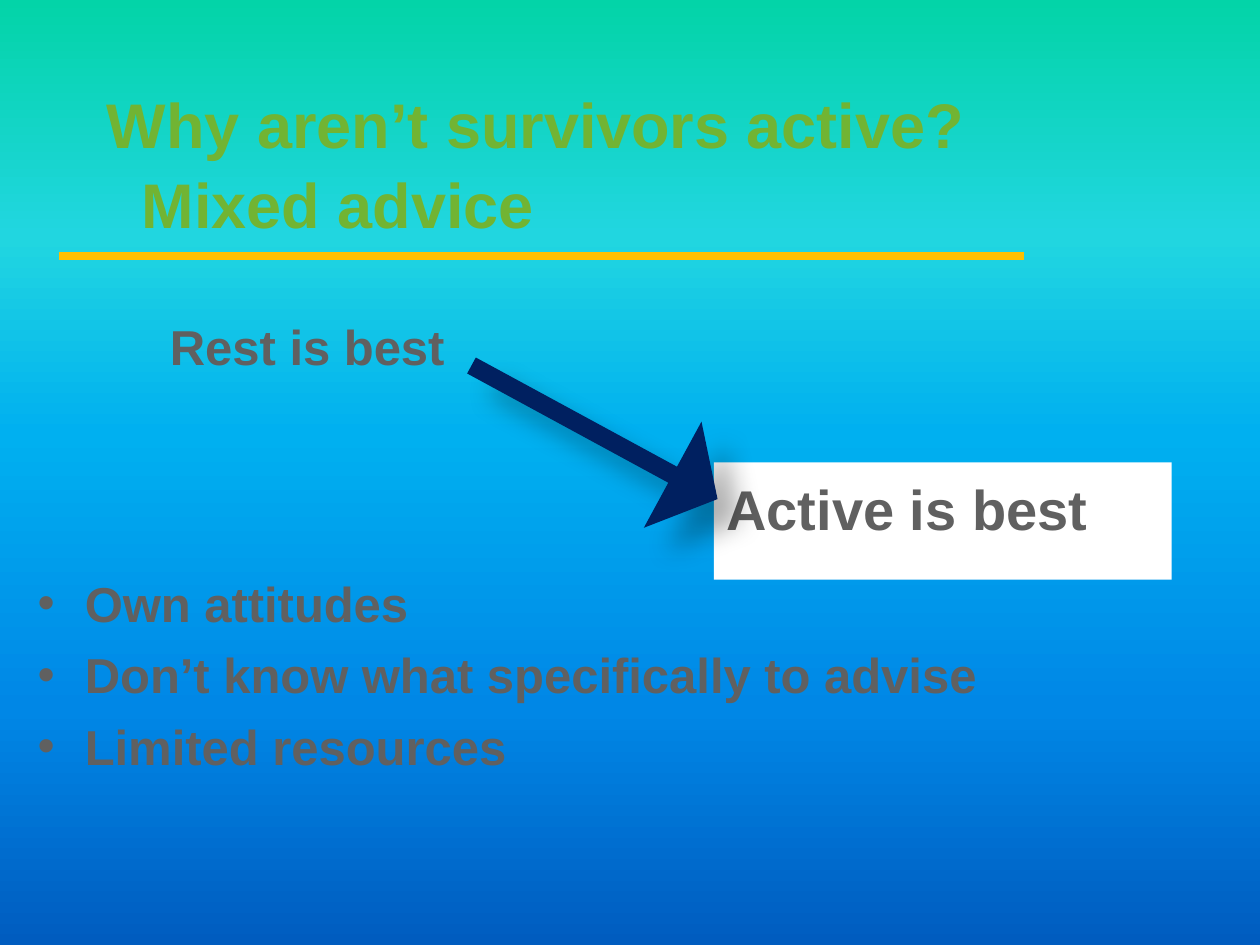
from dataclasses import dataclass

from lxml.etree import SubElement
from pptx import Presentation
from pptx.dml.color import RGBColor
from pptx.enum.shapes import MSO_CONNECTOR, MSO_SHAPE
from pptx.oxml import parse_xml
from pptx.oxml.ns import nsdecls, qn
from pptx.util import Pt

GREEN = RGBColor(0x71, 0xB4, 0x33)
GREY = RGBColor(0x60, 0x60, 0x60)
WHITE = RGBColor(0xFF, 0xFF, 0xFF)
GOLD = RGBColor(0xFF, 0xC0, 0x00)
NAVY = RGBColor(0x00, 0x20, 0x60)
SKY = [
    (0, RGBColor(0x03, 0xD4, 0xA8)),
    (25, RGBColor(0x21, 0xD6, 0xE0)),
    (46, RGBColor(0x00, 0xB0, 0xF0)),
    (75, RGBColor(0x00, 0x87, 0xE6)),
    (100, RGBColor(0x00, 0x5C, 0xBF)),
]


@dataclass
class TextBlock:
    lines: list[str]
    left: float
    top: float
    width: float
    height: float
    size: float
    color: RGBColor = GREY
    hang: float = 27
    space_before: float = 0
    bullet: bool = False
    fill: RGBColor | None = None


BLOCKS = [
    TextBlock(["Rest is best"], 90, 174.25, 261.5, 67, 28),
    TextBlock(["Active is best"], 408, 264.25, 261.5, 67, 32, fill=WHITE),
    TextBlock(
        ["Own attitudes", "Don’t know what specifically to advise", "Limited resources"],
        14.4, 321, 576.75, 168.5, 28, space_before=5.6, bullet=True,
    ),
    TextBlock(
        ["Why aren’t survivors active?\vMixed advice"],
        54, 42, 612, 66, 36, color=GREEN, hang=20,
    ),
]


def paint_background(s) -> None:
    stops = "".join(
        f'<a:gs pos="{pos * 1000}"><a:srgbClr val="{color}"/></a:gs>' for pos, color in SKY
    )
    fill = s.background.fill
    fill.solid()
    bg_pr = s.element.cSld.find(qn("p:bg")).find(qn("p:bgPr"))
    gradient = parse_xml(
        f'<a:gradFill {nsdecls("a")} rotWithShape="1"><a:gsLst>{stops}</a:gsLst>'
        '<a:lin ang="5400000" scaled="0"/></a:gradFill>'
    )
    bg_pr.replace(bg_pr[0], gradient)


def add_text(s, block: TextBlock) -> None:
    sp = s.shapes.add_textbox(
        Pt(block.left), Pt(block.top), Pt(block.width), Pt(block.height)
    )
    if block.fill is not None:
        sp.fill.solid()
        sp.fill.fore_color.rgb = block.fill
    tf = sp.text_frame
    tf.word_wrap = True
    tf.margin_top = Pt(5)
    for i, line in enumerate(block.lines):
        p = tf.paragraphs[0] if i == 0 else tf.add_paragraph()
        p.text = line
        p.line_spacing = 1.05
        p.space_before = Pt(block.space_before if i else 0)
        p_pr = p._p.get_or_add_pPr()
        p_pr.set("marL", str(Pt(block.hang)))
        p_pr.set("indent", str(-Pt(block.hang)))
        if block.bullet:
            SubElement(p_pr, qn("a:buFont"), typeface="Arial")
            SubElement(p_pr, qn("a:buChar"), char="•")
        p.font.name = "Arial"
        p.font.size = Pt(block.size)
        p.font.bold = True
        p.font.color.rgb = block.color


def add_rule(s, left: float, right: float, y: float) -> None:
    rule = s.shapes.add_connector(
        MSO_CONNECTOR.STRAIGHT, Pt(left), Pt(y), Pt(right), Pt(y)
    )
    rule.line.color.rgb = GOLD
    rule.line.width = Pt(4.5)
    SubElement(rule._element.spPr, qn("a:effectLst"))


def add_arrow(s, left: float, top: float, width: float, height: float) -> None:
    sp = s.shapes.add_shape(
        MSO_SHAPE.DOWN_ARROW, Pt(left), Pt(top), Pt(width), Pt(height)
    )
    sp.rotation = 298.5
    sp.adjustments[0] = 0.151
    sp.adjustments[1] = 0.423
    sp.fill.solid()
    sp.fill.fore_color.rgb = NAVY
    sp.line.fill.background()
    sp.shadow.inherit = False
    effects = sp._element.spPr.find(qn("a:effectLst"))
    shadow = SubElement(
        effects, qn("a:outerShdw"), blurRad=str(Pt(15)), dist=str(Pt(18)),
        dir=str(45 * 60000), algn="ctr", rotWithShape="0",
    )
    color = SubElement(shadow, qn("a:srgbClr"), val="000000")
    SubElement(color, qn("a:alpha"), val="30000")


def main() -> None:
    prs = Presentation()
    prs.slide_width, prs.slide_height = Pt(720), Pt(540)
    s = prs.slides.add_slide(prs.slide_layouts[6])
    paint_background(s)
    for block in BLOCKS:
        add_text(s, block)
    add_rule(s, 33.75, 585, 146.25)
    add_arrow(s, 305.25, 167, 69, 160)
    prs.save("out.pptx")


if __name__ == "__main__":
    main()
